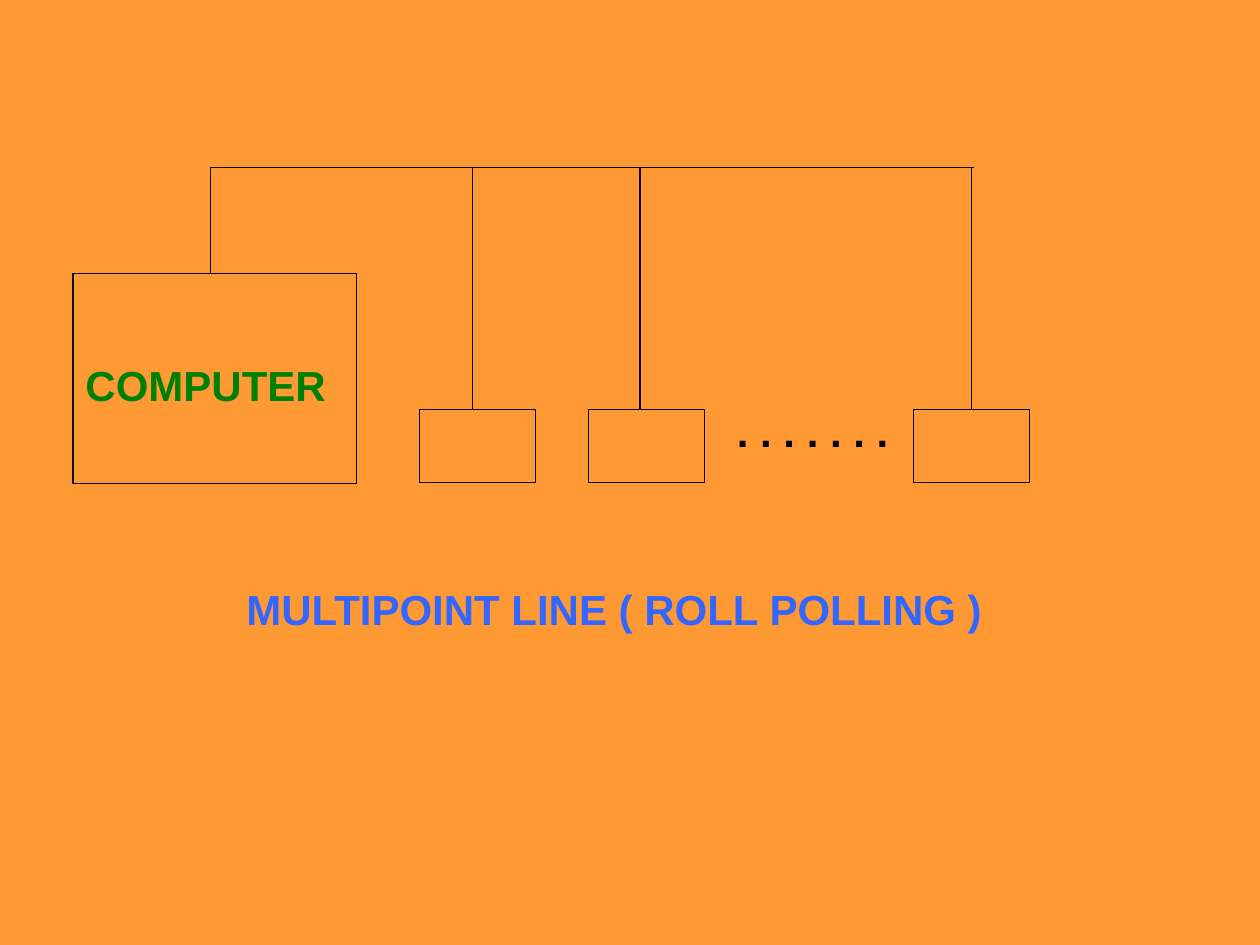
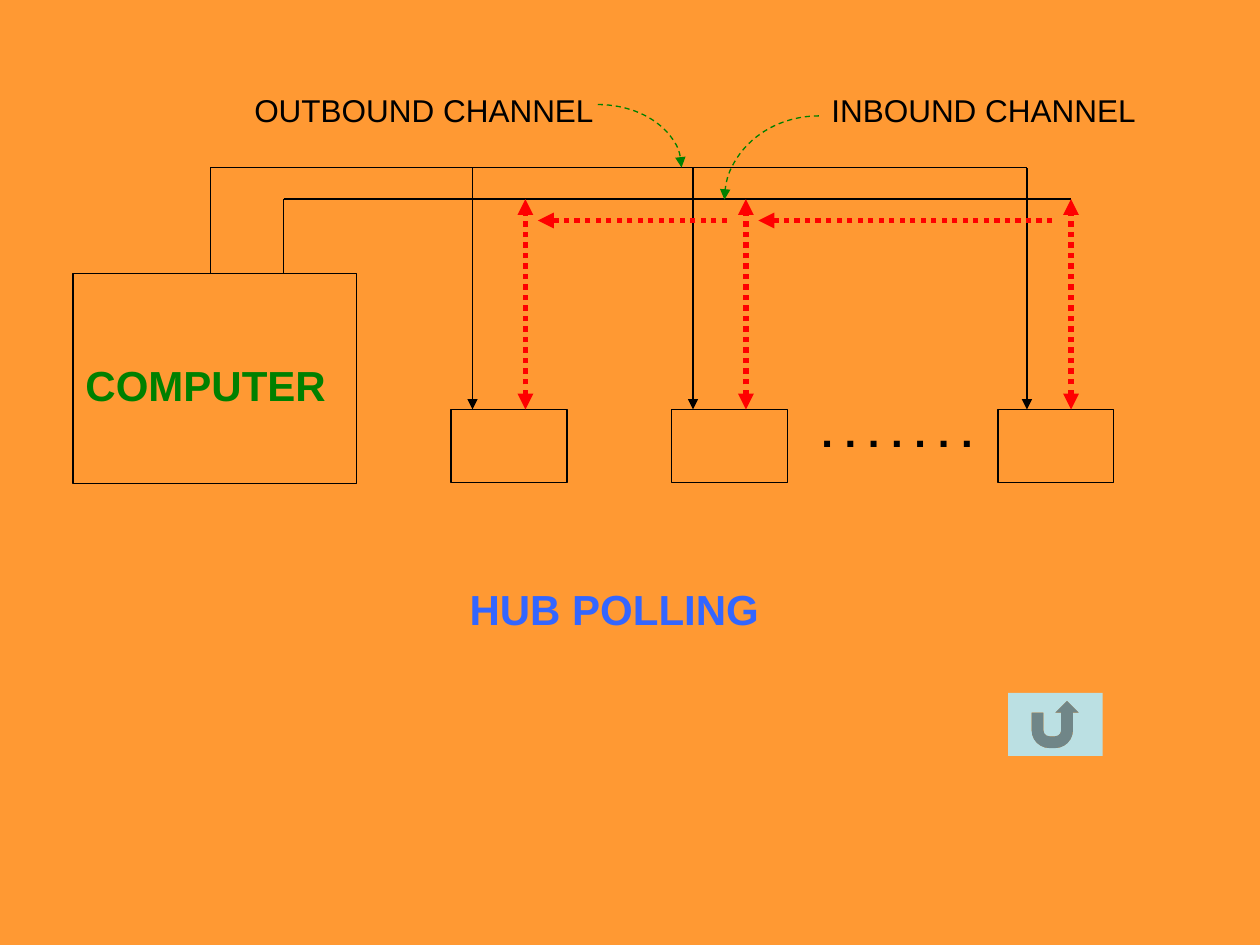
from pptx import Presentation
from pptx.dml.color import RGBColor
from pptx.enum.dml import MSO_LINE
from pptx.enum.shapes import MSO_CONNECTOR, MSO_SHAPE
from pptx.enum.text import MSO_ANCHOR, PP_ALIGN
from pptx.oxml.ns import qn
from pptx.util import Inches, Pt
from lxml import etree

ORANGE = RGBColor(0xFF, 0x99, 0x33)
BLACK = RGBColor(0x00, 0x00, 0x00)
GREEN = RGBColor(0x00, 0x80, 0x00)
BLUE = RGBColor(0x33, 0x66, 0xFF)
RED = RGBColor(0xFF, 0x00, 0x00)
PALE_TEAL = RGBColor(0xBB, 0xE0, 0xE3)

STRAIGHT = MSO_CONNECTOR.STRAIGHT
RECTANGLE = MSO_SHAPE.RECTANGLE
ARC = MSO_SHAPE.ARC
RETURN_BUTTON = MSO_SHAPE.ACTION_BUTTON_RETURN
DASH = MSO_LINE.DASH
DOTS = MSO_LINE.ROUND_DOT
LEFT, CENTER = PP_ALIGN.LEFT, PP_ALIGN.CENTER
TOP, MIDDLE = MSO_ANCHOR.TOP, MSO_ANCHOR.MIDDLE

FONT = "Arial"
TITLE_LAYOUT = 5
TOP_SIDE = 0

# Shared diagram geometry, in inches
COMPUTER_TOP = 2.17
TERMINAL_TOP = 3.25
OUTBOUND_X, OUTBOUND_Y = 1.67, 1.33
INBOUND_X, INBOUND_Y = 2.25, 1.58
TOKEN_Y = 1.75


def write_text(shape, text, size=24, color=BLACK, bold=True, align=LEFT,
               anchor=MIDDLE, inset_top=0.05):
    frame = shape.text_frame
    frame.word_wrap = True
    frame.vertical_anchor = anchor
    frame.margin_left = frame.margin_right = Inches(0.1)
    frame.margin_top, frame.margin_bottom = Inches(inset_top), Inches(0.05)
    para = frame.paragraphs[0]
    para.alignment = align
    span = para.add_run()
    span.text = text
    span.font.name = FONT
    span.font.size = Pt(size)
    span.font.bold = bold
    span.font.color.rgb = color


def add_label(page, text, left, top, width, height, **text_format):
    box = page.shapes.add_textbox(Inches(left), Inches(top), Inches(width), Inches(height))
    write_text(box, text, **text_format)


def style_line(shape, color=BLACK, width=0.75, dash=None, head=False, tail=False):
    line = shape.line
    line.color.rgb = color
    line.width = Pt(width)
    if dash is not None:
        line.dash_style = dash
    outline = shape._element.spPr.find(qn("a:ln"))
    for tag, wanted in (("a:headEnd", head), ("a:tailEnd", tail)):
        if wanted:
            etree.SubElement(outline, qn(tag), type="triangle")


def add_line(page, start, end, **line_format):
    points = [Inches(value) for value in (*start, *end)]
    connector = page.shapes.add_connector(STRAIGHT, *points)
    style_line(connector, **line_format)
    etree.SubElement(connector._element.spPr, qn("a:effectLst"))
    return connector


def add_plain_shape(page, kind, left, top, width, height):
    shape = page.shapes.add_shape(
        kind, Inches(left), Inches(top), Inches(width), Inches(height))
    shape.shadow.inherit = False
    shape.fill.background()
    return shape


def add_box(page, left, top, width, height):
    box = add_plain_shape(page, RECTANGLE, left, top, width, height)
    style_line(box)
    return box


def add_pointer(page, left, top, width, height, mirrored=False):
    arc = add_plain_shape(page, ARC, left, top, width, height)
    style_line(arc, color=GREEN, dash=DASH, tail=True)
    if mirrored:
        arc._element.spPr.find(qn("a:xfrm")).set("flipH", "1")


def add_return_button(page):
    button = add_plain_shape(page, RETURN_BUTTON, 8, 5.5, 0.75, 0.5)
    button.fill.solid()
    button.fill.fore_color.rgb = PALE_TEAL
    button.line.fill.background()


def add_channel(page, start_x, channel_y, end_x):
    """Draw a line up from the computer and across to the last terminal."""
    add_line(page, (start_x, COMPUTER_TOP), (start_x, channel_y))
    add_line(page, (start_x, channel_y), (end_x, channel_y))


def add_drops(page, drop_xs, channel_y, **line_format):
    return [add_line(page, (x, TERMINAL_TOP), (x, channel_y), **line_format)
            for x in drop_xs]


def add_polling_page(deck, caption, terminal_lefts, dots_left):
    """Add the parts common to both diagrams; return the page and terminals."""
    page = deck.slides.add_slide(deck.slide_layouts[TITLE_LAYOUT])
    title = page.shapes.title
    title.left, title.top = Inches(1.5), Inches(4.58)
    title.width, title.height = Inches(6.75), Inches(0.5)
    write_text(title, caption, color=BLUE, align=CENTER)

    computer = add_box(page, 0.58, COMPUTER_TOP, 2.25, 1.67)
    write_text(computer, "COMPUTER", color=GREEN, anchor=TOP, inset_top=0.68)
    terminals = [add_box(page, left, TERMINAL_TOP, 0.92, 0.58) for left in terminal_lefts]
    add_label(page, ". . . . . . .", dots_left, 3.17, 1.42, 0.5)
    return page, terminals


def build_roll_polling(deck):
    page, terminals = add_polling_page(
        deck, "MULTIPOINT LINE ( ROLL POLLING )", (3.33, 4.67, 7.25), 5.75)
    add_channel(page, OUTBOUND_X, OUTBOUND_Y, 7.73)
    drops = add_drops(page, (3.75, 5.08, 7.71), OUTBOUND_Y)
    drops[-1].begin_connect(terminals[-1], TOP_SIDE)


def build_hub_polling(deck):
    page, _ = add_polling_page(deck, "HUB POLLING", (3.58, 5.33, 7.92), 6.42)

    # Outbound channel feeds every terminal
    add_channel(page, OUTBOUND_X, OUTBOUND_Y, 8.15)
    add_drops(page, (3.75, 5.5, 8.15), OUTBOUND_Y, head=True)

    # Inbound channel and the polling token passed along it
    inbound_xs = (4.17, 5.92, 8.5)
    token = {"color": RED, "width": 3, "dash": DOTS, "tail": True}
    add_channel(page, INBOUND_X, INBOUND_Y, inbound_xs[-1])
    add_drops(page, inbound_xs, INBOUND_Y, head=True, **token)
    for target_x, source_x in zip(inbound_xs, inbound_xs[1:]):
        add_line(page, (source_x - 0.15, TOKEN_Y), (target_x + 0.1, TOKEN_Y), **token)

    # Channel names with their pointers
    for name, left in (("OUTBOUND CHANNEL", 1.92), ("INBOUND CHANNEL", 6.5)):
        add_label(page, name, left, 0.67, 3.33, 0.4, size=18, bold=False)
    add_pointer(page, 4.08, 0.83, 1.33, 1)
    add_pointer(page, 5.75, 0.92, 1.5, 1.33, mirrored=True)

    add_return_button(page)


def main():
    deck = Presentation()
    deck.slide_width, deck.slide_height = Inches(10), Inches(7.5)
    background = deck.slide_master.background.fill
    background.solid()
    background.fore_color.rgb = ORANGE
    build_roll_polling(deck)
    build_hub_polling(deck)
    deck.save("out.pptx")


if __name__ == "__main__":
    main()
